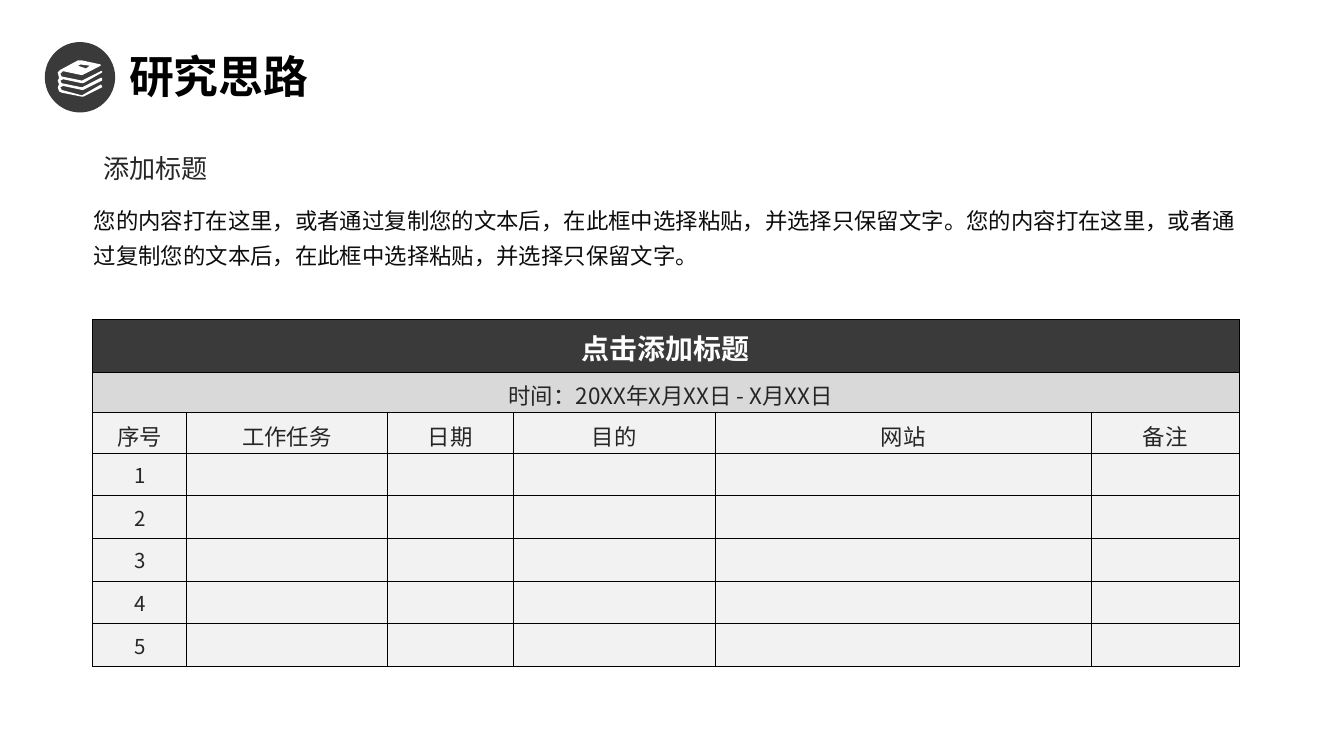
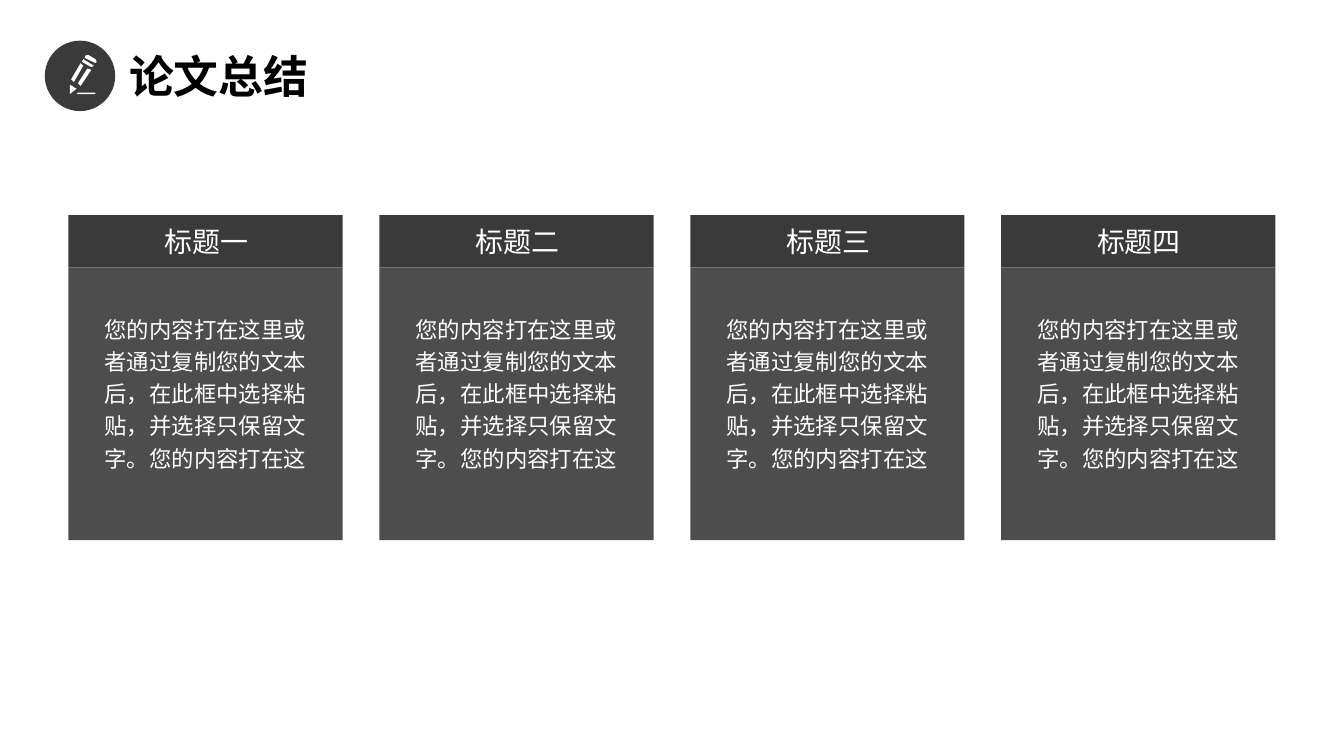
from pptx import Presentation
from pptx.dml.color import RGBColor
from pptx.enum.shapes import MSO_SHAPE as Shape
from pptx.enum.text import MSO_ANCHOR as Anchor, PP_ALIGN as Align
from pptx.oxml.ns import qn
from pptx.oxml.xmlchemy import OxmlElement
from pptx.util import Inches, Pt

BLACK = RGBColor(0x00, 0x00, 0x00)
WHITE = RGBColor(0xFF, 0xFF, 0xFF)
CHARCOAL = RGBColor(0x3A, 0x3A, 0x3A)
SLATE = RGBColor(0x4D, 0x4D, 0x4D)
INK = RGBColor(0x26, 0x26, 0x26)
NEAR_BLACK = RGBColor(0x0D, 0x0D, 0x0D)
MID_GREY = RGBColor(0xD9, 0xD9, 0xD9)
PALE_GREY = RGBColor(0xF2, 0xF2, 0xF2)
CJK = "Noto Sans CJK SC"

# Icon outlines, in hundredths of an inch on the slide
BOOKS = [
    [(61, 67), (62, 67), (76, 60), (76, 58), (75, 58), (61, 65), (46, 62),
     (45, 60), (47, 59), (61, 62), (62, 62), (76, 54), (76, 53), (75, 53),
     (61, 60), (46, 57), (45, 55), (47, 53), (61, 56), (75, 49), (75, 48),
     (61, 45), (58, 45), (45, 52), (43, 54), (44, 58), (43, 60), (44, 63),
     (43, 65), (44, 68), (46, 69), (61, 72.5), (62, 72), (76, 65), (76, 64),
     (75, 63), (61, 71), (46, 67), (45, 65), (47, 64)],
    [(60, 48), (67, 49), (64, 51), (58, 49)],
]
PENCIL = [
    [(64, 41), (66, 41), (71, 44), (71.5, 46), (71, 47), (63, 43)],
    [(62, 44), (61, 46), (68, 50), (70, 49)],
    [(52, 69), (52, 63), (57, 66), (52, 69.5)],
    [(53, 59), (60, 47), (62, 49), (55, 61)],
    [(58, 62), (65, 51), (68, 52), (60, 64)],
    [(58, 69), (71, 69), (71, 70), (58, 70), (57, 69.5)],
]


def write(frame, text, size, color, bold=False, align=Align.LEFT,
          pitch=None, wrap=True, latin=CJK):
    """Fill a text frame; pitch is the line distance of running text in points."""
    frame.word_wrap = wrap
    frame.vertical_anchor = Anchor.TOP if pitch else Anchor.MIDDLE
    paragraph = frame.paragraphs[0]
    paragraph.alignment = align
    if pitch:
        paragraph.line_spacing = Pt(pitch)
    run = paragraph.add_run()
    run.text = text
    for attribute, value in {"name": latin, "size": Pt(size), "bold": bold}.items():
        setattr(run.font, attribute, value)
    run.font.color.rgb = color
    east_asian = OxmlElement("a:ea")
    east_asian.set("typeface", CJK)
    run.font._element.find(qn("a:latin")).addnext(east_asian)


def paint(shape, color, outlined=False):
    shape.shadow.inherit = False
    shape.fill.solid()
    shape.fill.fore_color.rgb = color
    if outlined:
        shape.line.color.rgb = color
        shape.line.width = Pt(1)
    else:
        shape.line.fill.background()


# A 16:9 deck
deck = Presentation()
deck.slide_width = Inches(10)
deck.slide_height = deck.slide_width * 9 // 16

# Shared heading: title and round icon
slides = []
for heading, title_width, badge_top, icon in [
    ("研究思路", 1.88, 0.32, BOOKS),
    ("论文总结", 2.36, 0.31, PENCIL),
]:
    slide = deck.slides.add_slide(deck.slide_layouts[5])
    slides.append(slide)
    title = slide.shapes.title
    title.left, title.top = Inches(0.86), Inches(0.31)
    title.width, title.height = Inches(title_width), Inches(0.5)
    write(title.text_frame, heading, 24, BLACK, bold=True, latin="Arial")

    badge = slide.shapes.add_shape(
        Shape.OVAL, Inches(0.34), Inches(badge_top), Inches(0.51), Inches(0.51))
    paint(badge, CHARCOAL, outlined=True)
    outline = slide.shapes.build_freeform(*icon[0][0], scale=Inches(0.01))
    outline.add_line_segments(icon[0][1:], close=True)
    for contour in icon[1:]:
        outline.move_to(*contour[0])
        outline.add_line_segments(contour[1:], close=True)
    paint(outline.convert_to_shape(), WHITE)

plan, summary = slides

# Research plan: introduction
subtitle = plan.shapes.add_textbox(
    Inches(0.67), Inches(1.08), Inches(0.98), Inches(0.34))
write(subtitle.text_frame, "添加标题", 14, INK, wrap=False)
intro = plan.shapes.add_textbox(
    Inches(0.6), Inches(1.43), Inches(8.79), Inches(0.62))
sentence = "您的内容打在这里，或者通过复制您的文本后，在此框中选择粘贴，并选择只保留文字。"
write(intro.text_frame, sentence * 2, 12, NEAR_BLACK, pitch=18.75)

# Research plan: schedule table
column_widths = [0.7, 1.49, 0.94, 1.5, 2.8, 1.1]
row_heights = [0.39] + [0.29] * 7
entries = [
    ["点击添加标题"],
    ["时间：20XX年X月XX日 - X月XX日"],
    ["序号", "工作任务", "日期", "目的", "网站", "备注"],
] + [[str(number)] for number in range(1, 6)]
row_fills = [CHARCOAL, MID_GREY] + [PALE_GREY] * 6
row_sizes = [15, 12, 12] + [11] * 5
empty_row_size = 13

schedule = plan.shapes.add_table(
    len(row_heights), len(column_widths), Inches(0.69), Inches(2.38),
    Inches(sum(column_widths)), Inches(sum(row_heights))).table
schedule.first_row = schedule.horz_banding = False
for column, width in zip(schedule.columns, column_widths):
    column.width = Inches(width)
for row, height in zip(schedule.rows, row_heights):
    row.height = Inches(height)

for r, row in enumerate(schedule.rows):
    for c, cell in enumerate(row.cells):
        for side, inset in {"left": 0.01, "right": 0.01,
                            "top": 0.05, "bottom": 0.05}.items():
            setattr(cell, f"margin_{side}", Inches(inset))
        cell.vertical_anchor = Anchor.MIDDLE
        for edge in ("a:lnL", "a:lnR", "a:lnT", "a:lnB"):
            border = OxmlElement(edge)
            border.set("w", str(Pt(0.45)))
            ink = OxmlElement("a:solidFill")
            black = OxmlElement("a:srgbClr")
            black.set("val", str(BLACK))
            ink.append(black)
            border.append(ink)
            cell._tc.get_or_add_tcPr().append(border)
        cell.fill.solid()
        cell.fill.fore_color.rgb = row_fills[r]
        if c < len(entries[r]):
            write(cell.text_frame, entries[r][c], row_sizes[r],
                  WHITE if r == 0 else INK, bold=r == 0, align=Align.CENTER)
        else:
            empty_size = OxmlElement("a:endParaRPr")
            empty_size.set("sz", str(empty_row_size * 100))
            cell.text_frame.paragraphs[0]._p.append(empty_size)
for r in (0, 1):
    schedule.cell(r, 0).merge(schedule.cell(r, len(column_widths) - 1))
schedule.cell(1, 0).margin_left = Inches(0.08)

# Summary: four equal cards
card_text = "您的内容打在这里或者通过复制您的文本后，在此框中选择粘贴，并选择只保留文字。您的内容打在这"
first_left, last_left, card_width = 0.51, 7.45, 2.04
card_titles = ["标题一", "标题二", "标题三", "标题四"]
card_step = (last_left - first_left) / (len(card_titles) - 1)
for i, card_title in enumerate(card_titles):
    left = first_left + i * card_step
    for top, height, color in [(1.6, 0.39, CHARCOAL), (1.99, 2.03, SLATE)]:
        panel = summary.shapes.add_shape(
            Shape.RECTANGLE, Inches(left), Inches(top),
            Inches(card_width), Inches(height))
        paint(panel, color)
    label = summary.shapes.add_textbox(
        Inches(left + 0.34), Inches(1.62), Inches(1.37), Inches(0.35))
    write(label.text_frame, card_title, 15, WHITE, align=Align.CENTER)
    details = summary.shapes.add_textbox(
        Inches(left + 0.17), Inches(2.26), Inches(1.72), Inches(1.3))
    write(details.text_frame, card_text, 12, WHITE, pitch=17.3)

deck.save("out.pptx")
